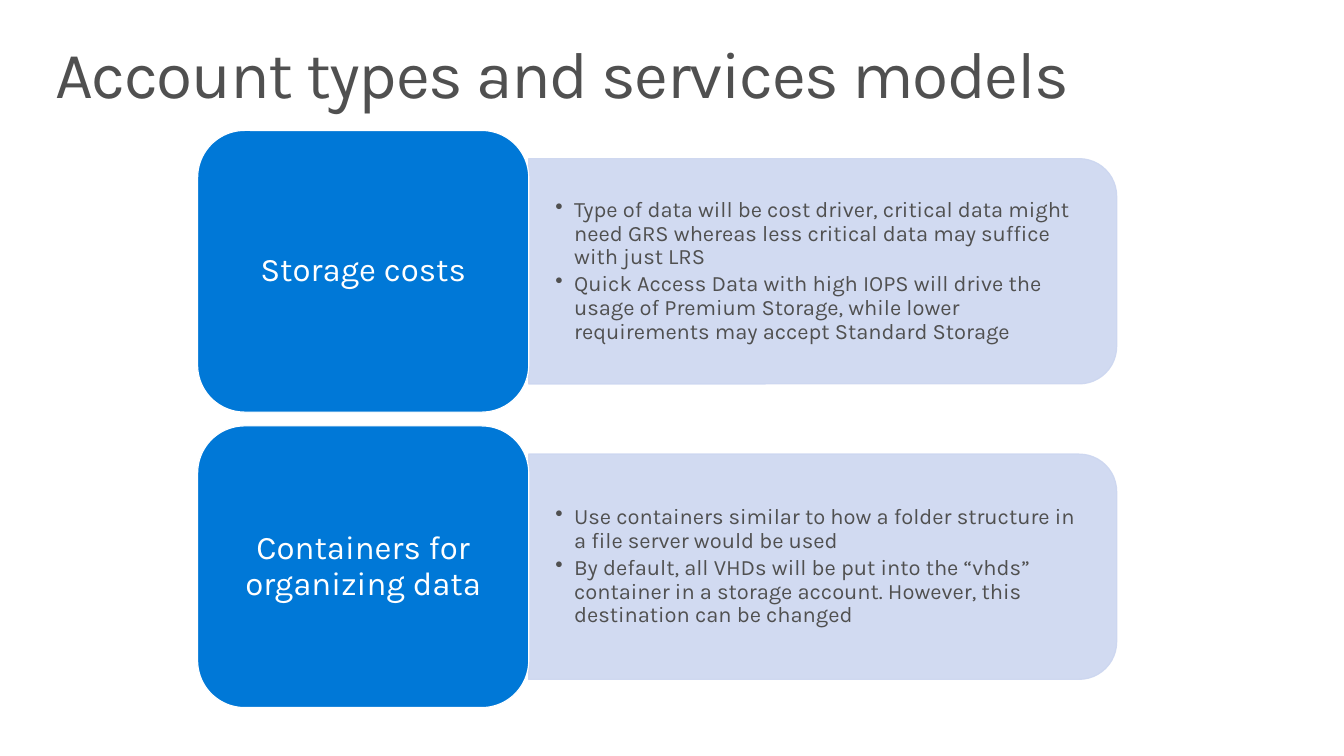
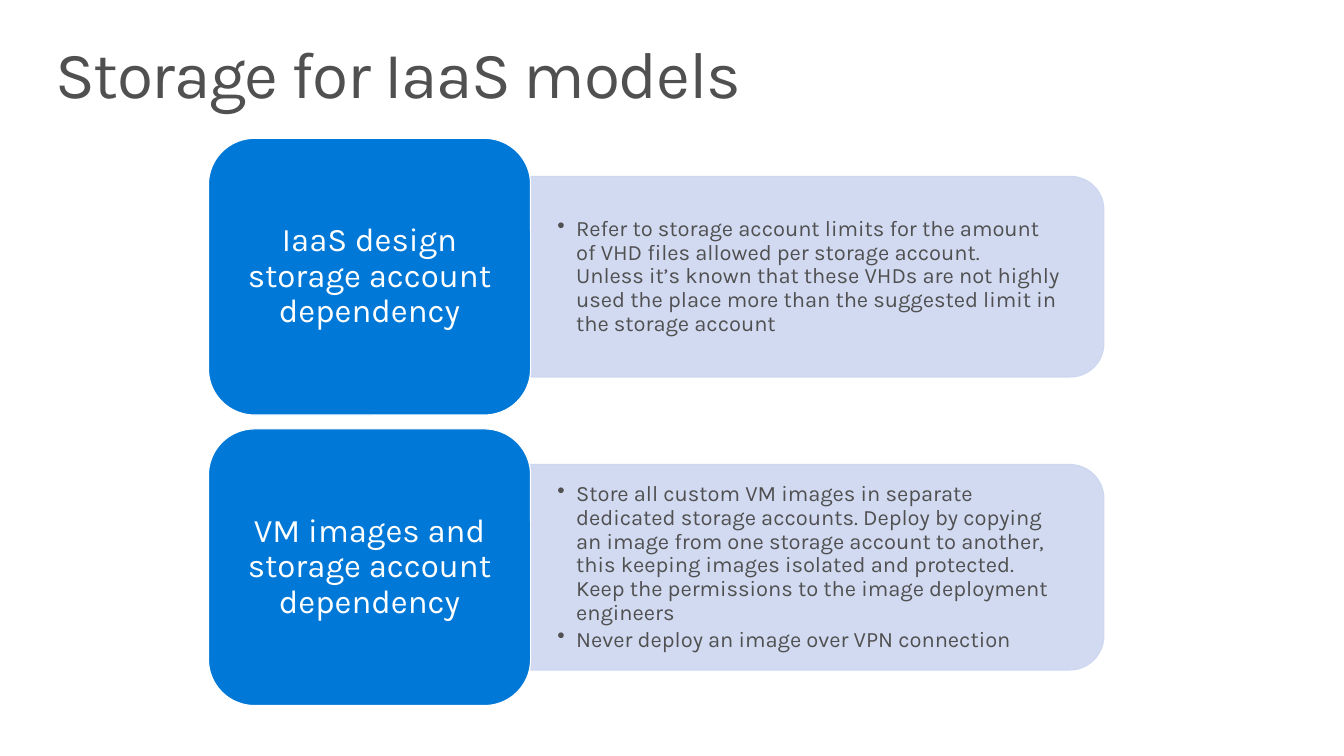
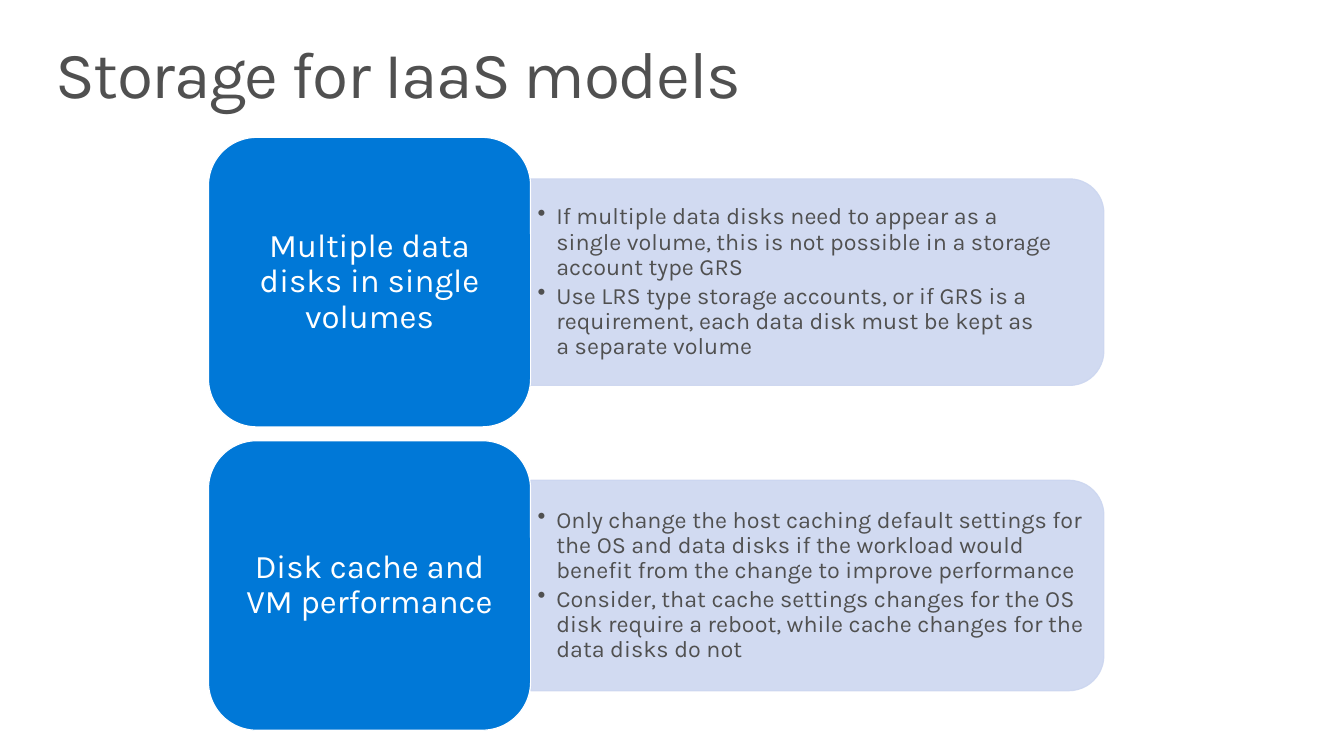
from dataclasses import dataclass

from lxml.etree import SubElement
from pptx import Presentation
from pptx.dml.color import RGBColor
from pptx.enum.shapes import MSO_SHAPE
from pptx.enum.text import MSO_ANCHOR, MSO_AUTO_SIZE, PP_ALIGN
from pptx.oxml.ns import qn
from pptx.util import Inches, Pt


@dataclass(frozen=True)
class Theme:
    font: str = "Karla"
    ink: RGBColor = RGBColor(0x50, 0x50, 0x50)
    blue: RGBColor = RGBColor(0x00, 0x78, 0xD7)
    pale: RGBColor = RGBColor(0xCC, 0xD6, 0xF0)
    white: RGBColor = RGBColor(0xFF, 0xFF, 0xFF)
    title_size: int = 48
    tile_size: int = 24
    line_width: float = 0.85
    line_spacing: float = 0.9
    pale_opacity: int = 90


@dataclass(frozen=True)
class RowLayout:
    """Sizes, in inches, of the two tile-and-panel rows on a slide."""
    left: float
    top: float
    tile_width: float
    tile_height: float
    panel_width: float
    panel_heights: tuple
    text_size: int = 16
    insets: tuple = (0.27, 0.14)
    gap: float = 0.14


class Deck:
    def __init__(self, theme):
        self.theme = theme
        self.presentation = Presentation()
        self.presentation.slide_width = Inches(13.6)
        self.presentation.slide_height = Inches(7.65)
        self.slide = None

    # Shared text and shape styling
    def add_run(self, paragraph, text, size, color):
        run = paragraph.add_run()
        run.text = text
        run.font.name = self.theme.font
        run.font.size = Pt(size)
        run.font.color.rgb = color
        paragraph.line_spacing = self.theme.line_spacing
        return run

    def set_frame(self, frame, anchor, horizontal, vertical):
        frame.word_wrap = True
        frame.auto_size = MSO_AUTO_SIZE.NONE
        frame.vertical_anchor = anchor
        frame.margin_left = frame.margin_right = Inches(horizontal)
        frame.margin_top = frame.margin_bottom = Inches(vertical)

    def add_box(self, preset, left, top, width, height, fill, line):
        shape = self.slide.shapes.add_shape(
            preset, Inches(left), Inches(top), Inches(width), Inches(height))
        shape.shadow.inherit = False
        shape.fill.solid()
        shape.fill.fore_color.rgb = fill
        shape.line.color.rgb = line
        shape.line.width = Pt(self.theme.line_width)
        return shape

    # Slide with its title
    def add_slide(self, title_text):
        self.slide = self.presentation.slides.add_slide(
            self.presentation.slide_layouts[5])
        title = self.slide.shapes.title
        title.left, title.top = Inches(0.4), Inches(0.32)
        title.width, title.height = Inches(12.8), Inches(1)
        self.set_frame(title.text_frame, MSO_ANCHOR.TOP, 0.16, 0.1)
        paragraph = title.text_frame.paragraphs[0]
        paragraph.alignment = PP_ALIGN.LEFT
        run = self.add_run(paragraph, title_text, self.theme.title_size, self.theme.ink)
        run.font._element.set("spc", "-100")

    # Pale panel, rounded on its right side by a quarter turn
    def add_panel(self, left, middle, width, height):
        center = left + width / 2
        panel = self.add_box(
            MSO_SHAPE.ROUND_2_SAME_RECTANGLE, center - height / 2,
            middle - width / 2, height, width, self.theme.pale, self.theme.pale)
        panel.rotation = 90
        for color in panel._element.spPr.iter(qn("a:srgbClr")):
            SubElement(color, qn("a:alpha"), val=str(self.theme.pale_opacity * 1000))

    # Bulleted text
    def add_bullets(self, left, middle, width, height, items, size, insets):
        box = self.slide.shapes.add_textbox(
            Inches(left), Inches(middle - height / 2), Inches(width), Inches(height))
        frame = box.text_frame
        self.set_frame(frame, MSO_ANCHOR.MIDDLE, *insets)
        for index, item in enumerate(items):
            paragraph = frame.add_paragraph() if index else frame.paragraphs[0]
            for line_index, line in enumerate(item.split("\n")):
                if line_index:
                    paragraph.add_line_break()
                self.add_run(paragraph, line, size, self.theme.ink)
            paragraph.space_after = Pt(size * 0.15)
            properties = paragraph._p.get_or_add_pPr()
            properties.set("marL", str(Inches(0.19)))
            properties.set("indent", str(-Inches(0.19)))
            SubElement(properties, qn("a:buChar"), char="•")

    # Blue tile with a centred heading
    def add_tile(self, left, middle, width, height, heading):
        tile = self.add_box(
            MSO_SHAPE.ROUNDED_RECTANGLE, left, middle - height / 2,
            width, height, self.theme.blue, self.theme.white)
        self.set_frame(tile.text_frame, MSO_ANCHOR.MIDDLE, 0.1, 0.05)
        paragraph = tile.text_frame.paragraphs[0]
        paragraph.alignment = PP_ALIGN.CENTER
        self.add_run(paragraph, heading, self.theme.tile_size, self.theme.white)

    # Rows of tile, panel and bullets
    def add_rows(self, layout, rows):
        panel_left = layout.left + layout.tile_width
        for index, (heading, items) in enumerate(rows):
            middle = (layout.top + layout.tile_height / 2
                      + index * (layout.tile_height + layout.gap))
            height = layout.panel_heights[index]
            self.add_panel(panel_left, middle, layout.panel_width, height)
            self.add_bullets(panel_left, middle, layout.panel_width - 0.1, height,
                             items, layout.text_size, layout.insets)
            self.add_tile(layout.left, middle, layout.tile_width,
                          layout.tile_height, heading)


SLIDES = [
    ("Account types and services models",
     RowLayout(2, 1.32, 3.35, 2.85, 5.95, (2.28, 2.28)),
     [("Storage costs", [
         "Type of data will be cost driver, critical data might need GRS whereas "
         "less critical data may suffice with just LRS",
         "Quick Access Data with high IOPS will drive the usage of Premium Storage, "
         "while lower requirements may accept Standard Storage"]),
      ("Containers for organizing data", [
          "Use containers similar to how a folder structure in\n"
          "a file server would be used",
          "By default, all VHDs will be put into the “vhds” container in a storage "
          "account. However, this destination can be changed"])]),
    ("Storage for IaaS models",
     RowLayout(2.11, 1.4, 3.26, 2.8, 5.8, (2.03, 2.08)),
     [("IaaS design storage account dependency", [
         "Refer to storage account limits for the amount\n"
         "of VHD files allowed per storage account.\n"
         "Unless it’s known that these VHDs are not highly used the place more "
         "than the suggested limit in\nthe storage account"]),
      ("VM images and storage account dependency", [
          "Store all custom VM images in separate dedicated storage accounts. "
          "Deploy by copying an image from one storage account to another, this "
          "keeping images isolated and protected. Keep the permissions to the "
          "image deployment engineers",
          "Never deploy an image over VPN connection"])]),
    ("Storage for IaaS models",
     RowLayout(2.11, 1.39, 3.26, 2.93, 5.8, (2.09, 2.13), 17, (0.07, 0.04)),
     [("Multiple data disks in single volumes", [
         "If multiple data disks need to appear as a\n"
         "single volume, this is not possible in a storage account type GRS",
         "Use LRS type storage accounts, or if GRS is a requirement, each data "
         "disk must be kept as\na separate volume"]),
      ("Disk cache and VM performance", [
          "Only change the host caching default settings for the OS and data disks "
          "if the workload would benefit from the change to improve performance",
          "Consider, that cache settings changes for the OS disk require a reboot, "
          "while cache changes for the data disks do not"])]),
]


def main():
    deck = Deck(Theme())
    for title, layout, rows in SLIDES:
        deck.add_slide(title)
        deck.add_rows(layout, rows)
    deck.presentation.save("out.pptx")


if __name__ == "__main__":
    main()
